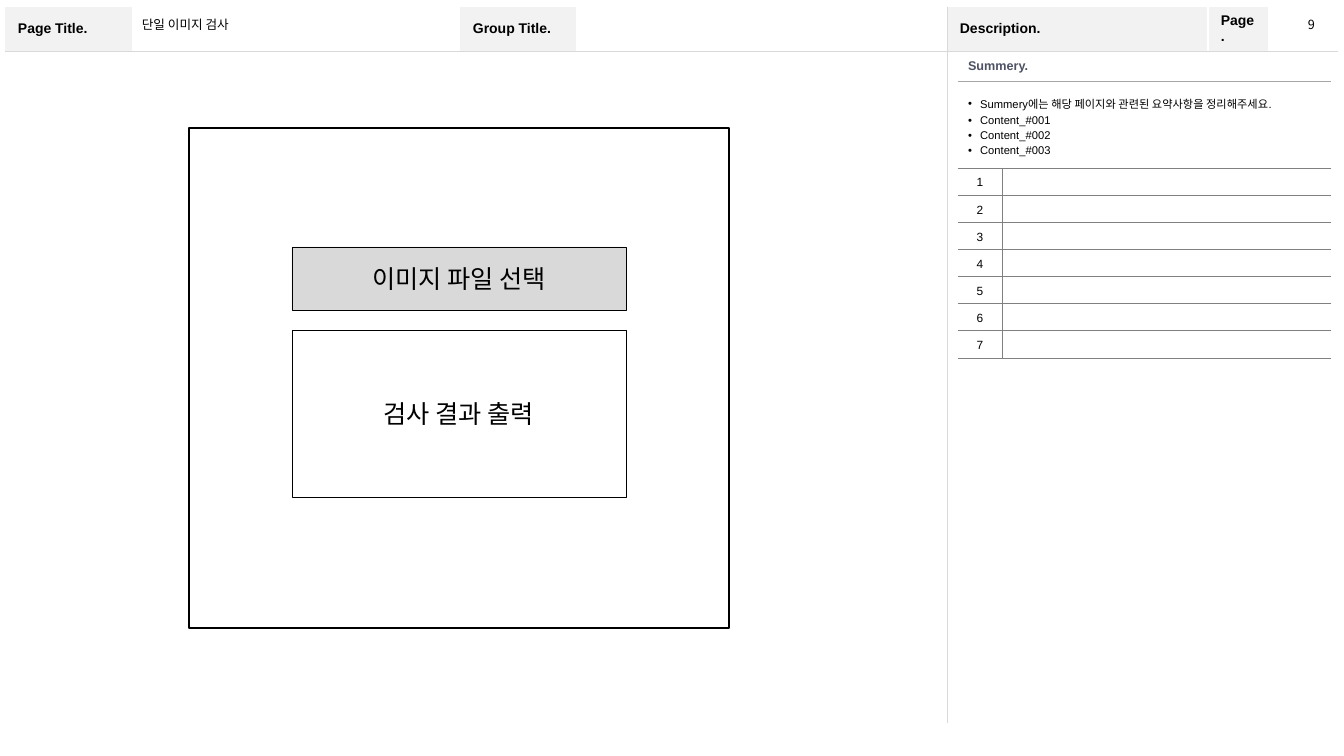
from lxml import etree
from pptx import Presentation, util as u
from pptx.dml.color import RGBColor
from pptx.enum import shapes, text
from pptx.oxml import ns

PX = 9144000 / 1008
BLACK = RGBColor(0, 0, 0)
WHITE = RGBColor(0xFF, 0xFF, 0xFF)
LABEL_GRAY = RGBColor(0xF2, 0xF2, 0xF2)
BUTTON_GRAY = RGBColor(0xD9, 0xD9, 0xD9)
HEADING_RULE = RGBColor(0xA6, 0xA6, 0xA6)
ROW_RULE = RGBColor(0x80, 0x80, 0x80)
HEADING_INK = RGBColor(0x4E, 0x52, 0x63)
KOREAN = "Noto Sans CJK KR"
NO_STYLE = "{2D5ABB26-0587-4C30-8999-92F81FD0307C}"


def px(*lengths):
    return [u.Emu(round(length * PX)) for length in lengths]


def write(frame, size, color=BLACK, bold=False, font="Arial"):
    for line in frame.paragraphs:
        for run in line.runs:
            run.font.size, run.font.bold, run.font.name = u.Pt(size), bold, font
            run.font.color.rgb = color
            etree.SubElement(run.font._element, ns.qn("a:ea"), typeface=KOREAN)


prs = Presentation()
prs.slide_width, prs.slide_height = px(1344, 756)
slide = prs.slides.add_slide(prs.slide_layouts[6])

page_columns = [127, 328, 116, 371, 261, 61, 69]
number_rows = 7
row_height = 190 / number_rows
page_grid = slide.shapes.add_table(2, 7, *px(5, 7, 1333, 716)).table
summary = slide.shapes.add_table(2 + number_rows, 2, *px(958, 52, 373, 306)).table
for grid, widths, heights in (
    (page_grid, page_columns, [44, 672]),
    (summary, [44, 329], [29, 87] + [row_height] * number_rows),
):
    grid._tbl.tblPr.find(ns.qn("a:tableStyleId")).text = NO_STYLE
    grid.first_row = grid.horz_banding = False
    for column, width in zip(grid.columns, px(*widths)):
        column.width = width
    for row, height in zip(grid.rows, px(*heights)):
        row.height = height
    for cell in grid.iter_cells():
        cell.fill.background()
        cell.vertical_anchor = text.MSO_ANCHOR.MIDDLE

rules = []
for column, label in {0: "Page Title.", 2: "Group Title.", 4: "Description.", 5: "Page."}.items():
    cell = page_grid.cell(0, column)
    cell.text_frame.text = label
    cell.margin_left, cell.margin_right, cell.margin_top, cell.margin_bottom = px(13, 13, 6, 6)
    cell.fill.solid()
    cell.fill.fore_color.rgb = LABEL_GRAY
    write(cell.text_frame, 10, bold=True)
rules += [(page_grid.cell(0, column), "B", BUTTON_GRAY, 0.25) for column in range(7)]
rules += [(page_grid.cell(row, 4), "L", BUTTON_GRAY, 0.25) for row in range(2)]
rules.append((page_grid.cell(0, 5), "L", WHITE, 1))
page_grid.cell(1, 0).merge(page_grid.cell(1, 3))
page_grid.cell(1, 4).merge(page_grid.cell(1, 6))

for row, wording, size, ink, bold in (
    (0, "Summery.", 9, HEADING_INK, True),
    (1, "Summery에는 해당 페이지와 관련된 요약사항을 정리해주세요.\n"
        "Content_#001\nContent_#002\nContent_#003", 8, BLACK, False),
):
    summary.cell(row, 0).merge(summary.cell(row, 1))
    summary.cell(row, 0).text_frame.text = wording
    write(summary.cell(row, 0).text_frame, size, ink, bold)
for note in summary.cell(1, 0).text_frame.paragraphs:
    note.alignment = text.PP_ALIGN.JUSTIFY
    note.line_spacing = 1.2
    indent = px(12)[0]
    props = note._p.get_or_add_pPr()
    props.set("marL", str(indent))
    props.set("indent", str(-indent))
    etree.SubElement(props, ns.qn("a:buFont"), typeface="Arial")
    etree.SubElement(props, ns.qn("a:buChar"), char="•")

for number in range(1, number_rows + 1):
    numbered, blank = summary.cell(number + 1, 0), summary.cell(number + 1, 1)
    numbered.text_frame.text = str(number)
    numbered.text_frame.paragraphs[0].alignment = text.PP_ALIGN.CENTER
    numbered.text_frame.paragraphs[0].line_spacing = 1.2
    write(numbered.text_frame, 8.5)
    etree.SubElement(blank.text_frame.paragraphs[0]._p, ns.qn("a:endParaRPr"), sz="850")
    for cell in (numbered, blank):
        cell.margin_top, cell.margin_bottom = px(3, 3)
    rules.append((blank, "L", ROW_RULE, 0.25))
for row in range(2 + number_rows):
    for column in range(2):
        rules.append((summary.cell(row, column), "B", ROW_RULE if row else HEADING_RULE, 0.25))

for cell, side, color, width in sorted(rules, key=lambda rule: rule[1]):
    edge = etree.Element(ns.qn("a:ln" + side), w=str(u.Pt(width)))
    ink = etree.SubElement(edge, ns.qn("a:solidFill"))
    etree.SubElement(ink, ns.qn("a:srgbClr"), val=str(color))
    cell._tc.get_or_add_tcPr().insert(0 if side == "L" else 0, edge) if side == "L" else None
    if side == "B":
        cell._tc.get_or_add_tcPr().insert(0, edge)
for cell in list(page_grid.iter_cells()) + list(summary.iter_cells()):
    props = cell._tc.get_or_add_tcPr()
    left = props.find(ns.qn("a:lnL"))
    if left is not None:
        props.insert(0, left)

for wording, box, font, wrap in (
    ("단일 이미지 검사", (132, 12, 327, 24), "Arial", True),
    ("9", (1298, 12, 27, 25), KOREAN, False),
):
    frame = slide.shapes.add_textbox(*px(*box)).text_frame
    frame.text = wording
    frame.word_wrap = wrap
    frame.vertical_anchor = text.MSO_ANCHOR.MIDDLE
    write(frame, 9, font=font)

for wording, box, fill, outline in (
    ("", (189, 128, 540, 500), WHITE, 2),
    ("이미지 파일 선택", (292, 247, 334, 63), BUTTON_GRAY, 0.5),
    ("검사 결과 출력", (292, 330, 334, 167), WHITE, 0.5),
):
    panel = slide.shapes.add_shape(shapes.MSO_SHAPE.RECTANGLE, *px(*box))
    panel.shadow.inherit = False
    panel.fill.solid()
    panel.fill.fore_color.rgb = fill
    panel.line.color.rgb = BLACK
    panel.line.width = u.Pt(outline)
    panel.text_frame.text = wording
    panel.text_frame.vertical_anchor = text.MSO_ANCHOR.MIDDLE
    panel.text_frame.paragraphs[0].alignment = text.PP_ALIGN.CENTER
    write(panel.text_frame, 18, font=KOREAN)

prs.save("out.pptx")
